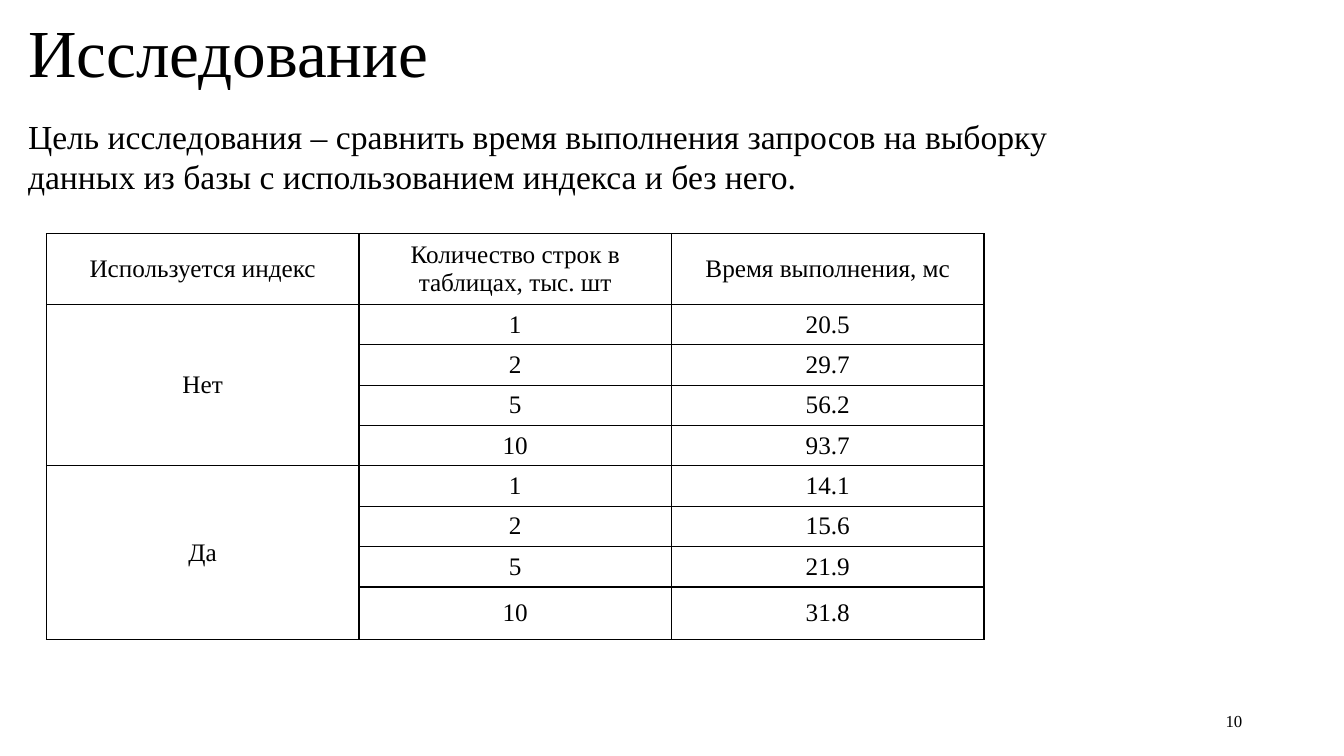
from lxml import etree
from pptx import Presentation
from pptx.dml.color import RGBColor
from pptx.enum.text import MSO_ANCHOR, PP_ALIGN
from pptx.oxml.ns import qn
from pptx.util import Inches, Pt

LEFT, CENTER, RIGHT = PP_ALIGN.LEFT, PP_ALIGN.CENTER, PP_ALIGN.RIGHT
TOP, MIDDLE = MSO_ANCHOR.TOP, MSO_ANCHOR.MIDDLE

COLORS = {"ink": "000000", "paper": "FFFFFF"}
HEADERS = [
    "Используется индекс",
    "Количество строк в таблицах, тыс. шт",
    "Время выполнения, мс",
]
ROW_COUNTS = ["1", "2", "5", "10"]
TIMINGS = {
    "Нет": ["20.5", "29.7", "56.2", "93.7"],
    "Да": ["14.1", "15.6", "21.9", "31.8"],
}


def write(frame, text, font="Times New Roman", size=18, color=COLORS["ink"],
          align=LEFT, anchor=TOP, spacing=None):
    frame.word_wrap = True
    frame.vertical_anchor = anchor
    paragraph = frame.paragraphs[0]
    paragraph.alignment = align
    if spacing:
        paragraph.line_spacing = spacing
    run = paragraph.add_run()
    run.text = text
    run.font.name = font
    run.font.size = Pt(size)
    run.font.color.rgb = RGBColor.from_string(color)


class ResearchSlide:
    def __init__(self, deck, colors):
        self.colors = colors
        self.slide = deck.slides.add_slide(deck.slide_layouts[6])
        background = self.slide.background.fill
        background.solid()
        background.fore_color.rgb = RGBColor.from_string(colors["paper"])

    def text(self, left, top, width, height, content, **style):
        box = self.slide.shapes.add_textbox(
            Inches(left), Inches(top), Inches(width), Inches(height))
        write(box.text_frame, content, color=self.colors["ink"], **style)

    def border(self, cell, width=1):
        properties = cell._tc.get_or_add_tcPr()
        for position, side in enumerate(("lnL", "lnR", "lnT", "lnB")):
            line = etree.Element(qn(f"a:{side}"), w=str(Pt(width)))
            fill = etree.SubElement(line, qn("a:solidFill"))
            etree.SubElement(fill, qn("a:srgbClr"), val=self.colors["ink"])
            properties.insert(position, line)

    def table(self, left, top, column_width, row_heights, rows):
        columns = len(rows[0])
        grid = self.slide.shapes.add_table(
            len(rows), columns, Inches(left), Inches(top),
            Inches(column_width * columns), Inches(sum(row_heights))).table
        for column in grid.columns:
            column.width = Inches(column_width)
        for r, (values, height) in enumerate(zip(rows, row_heights)):
            grid.rows[r].height = Inches(height)
            for c, value in enumerate(values):
                cell = grid.cell(r, c)
                cell.fill.background()
                self.border(cell)
                cell.vertical_anchor = MIDDLE
                if value:
                    write(cell.text_frame, value, color=self.colors["ink"],
                          align=CENTER, anchor=MIDDLE)
        return grid


def main():
    deck = Presentation()
    deck.slide_width, deck.slide_height = Inches(13.33), Inches(7.5)
    research = ResearchSlide(deck, COLORS)

    research.text(0.18, 0.14, 8.81, 1.06, "Исследование", size=48, spacing=0.9)
    research.text(
        0.18, 1.1, 10.46, 0.91,
        "Цель исследования – сравнить время выполнения запросов на выборку "
        "данных из базы с использованием индекса и без него.", size=24)

    rows = [HEADERS]
    for index_used, timings in TIMINGS.items():
        for i, (count, timing) in enumerate(zip(ROW_COUNTS, timings)):
            rows.append([index_used if i == 0 else "", count, timing])
    heights = [0.65] + [0.39] * 7 + [0.52]
    measurements = research.table(0.46, 2.32, 3.1, heights, rows)
    group = len(ROW_COUNTS)
    for first in range(1, len(rows), group):
        measurements.cell(first, 0).merge(measurements.cell(first + group - 1, 0))

    research.text(9.42, 6.95, 3, 0.4, "10", size=12, align=RIGHT, anchor=MIDDLE)
    deck.save("out.pptx")


if __name__ == "__main__":
    main()
